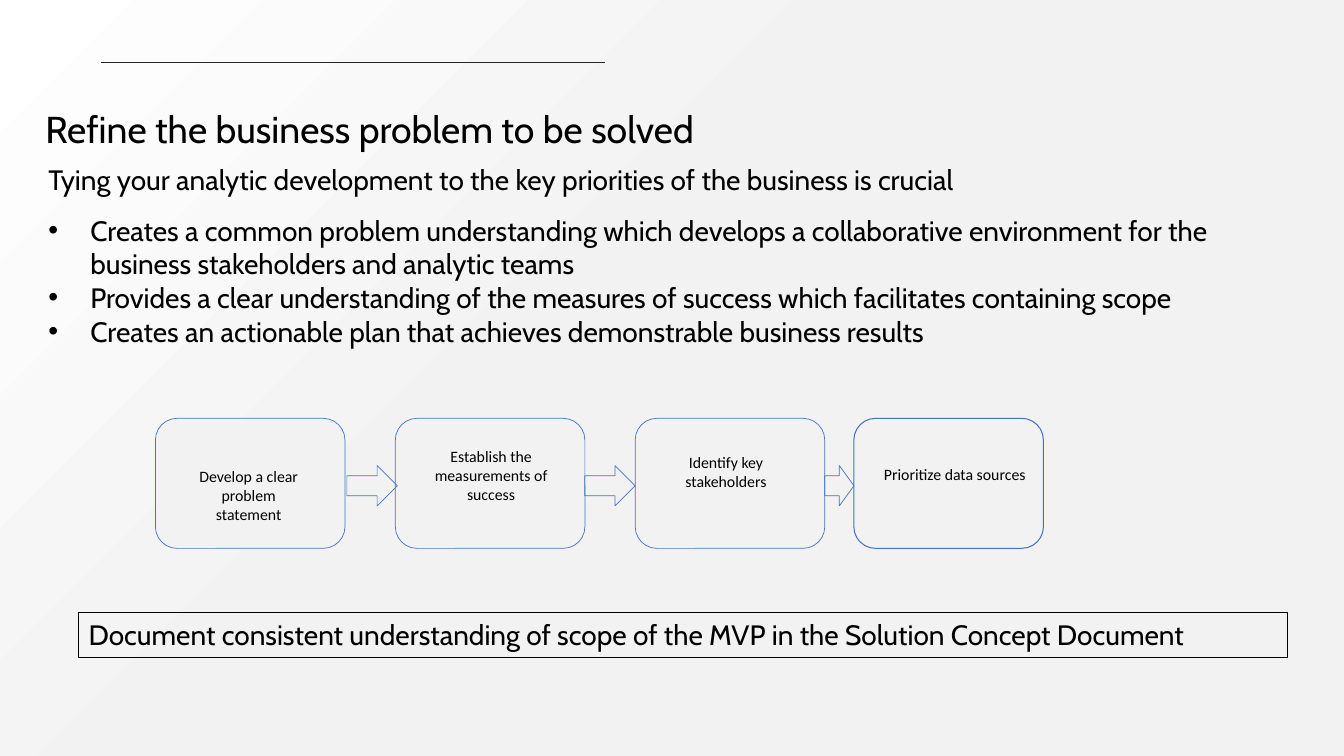
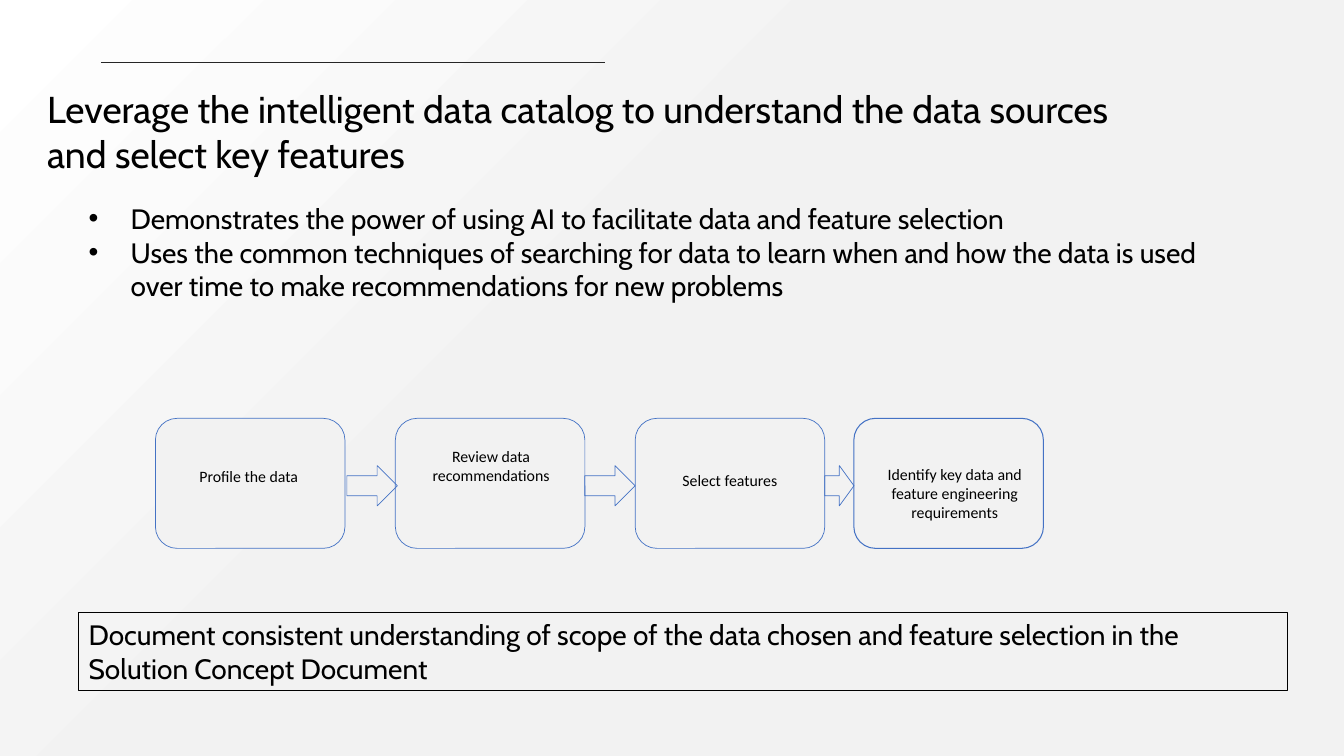
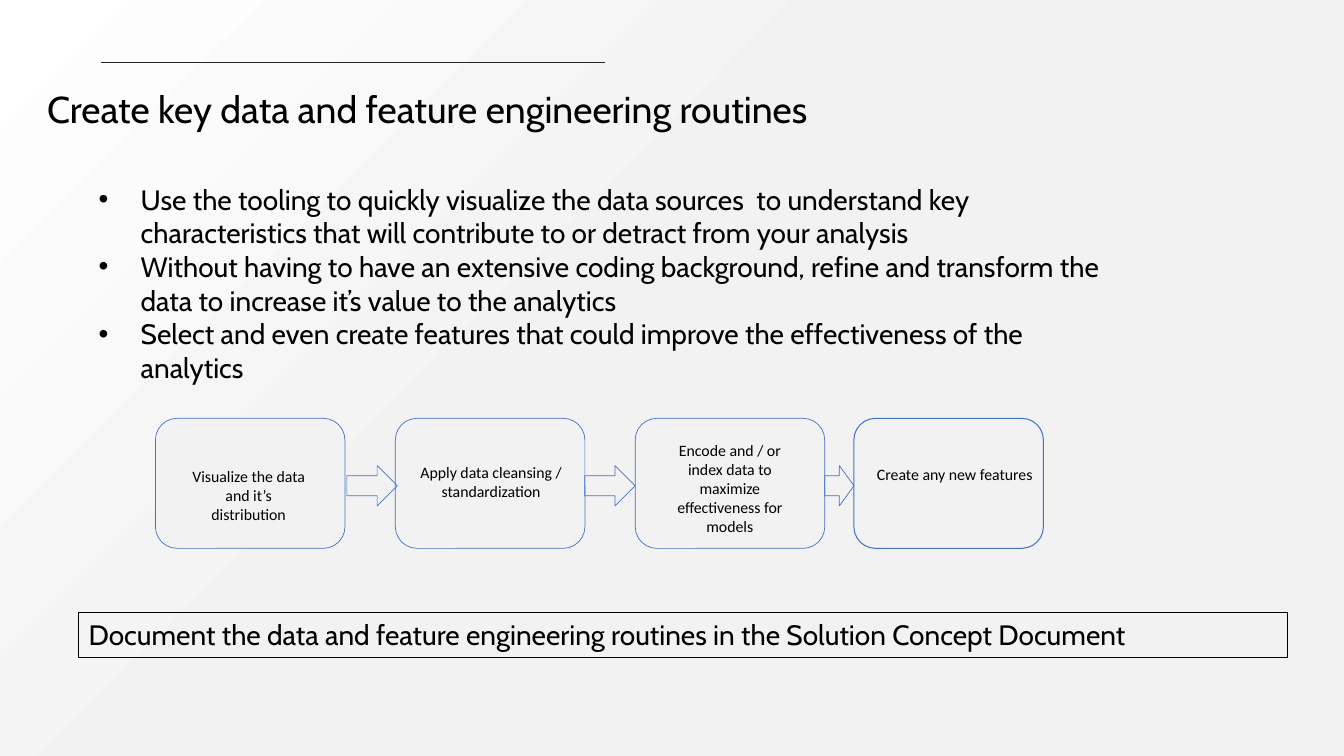
"""Build three slides on refining a problem, choosing data and engineering features."""
from dataclasses import dataclass

from lxml import etree
from pptx import Presentation
from pptx.dml.color import RGBColor
from pptx.enum import shapes, text
from pptx.oxml import ns
from pptx.util import Pt

COLORS = {
    "white": "FFFFFF",
    "panel": "F2F2F2",
    "outline": "4472C4",
    "rule": "262626",
    "ink": "000000",
}
HEADING_FONT = "Cabin"
LABEL_FONT = "Calibri"
TITLE_SIZE, BODY_SIZE, LABEL_SIZE = 26.7, 20, 11.3
BULLET_INDENT = 30
INTRO_GAP = 12.5

FLOW_LEFT, FLOW_TOP = 111, 298.8
STEP_WIDTH, STEP_HEIGHT = 135.4, 92.9
STEP_OFFSETS = (0, 171.4, 342.7, 498.9)
STEP_LINES = (0.5, 0.5, 0.5, 0.75)
LABEL_WIDTHS = (95.8, 126.7, 110.9, 135.4)
ARROW_SPANS = ((136.8, 36), (306.7, 36), (478.1, 20.9))
ARROW_TOP, ARROW_HEIGHT = 33.8, 28.8


@dataclass
class Step:
    """A step's label and its offset inside the step's box."""

    label: str
    dx: float
    dy: float


@dataclass
class Page:
    """The content of one slide, with boxes as left, top, width, height."""

    title: str
    title_box: tuple
    bullets: list
    body_box: tuple
    steps: list
    callout: str
    callout_height: float
    intro: str = ""


PAGES = [
    Page(
        title="Refine the business problem to be solved",
        title_box=(27.4, 70.6, 807, 42),
        intro="Tying your analytic development to the key priorities of the business is crucial",
        bullets=[
            "Creates a common problem understanding which develops a collaborative "
            "environment for the business stakeholders and analytic teams",
            "Provides a clear understanding of the measures of success which "
            "facilitates containing scope",
            "Creates an actionable plan that achieves demonstrable business results",
        ],
        body_box=(27.4, 112.3, 863.3, 203.8),
        steps=[
            Step("Develop a clear problem statement", 18.7, 31),
            Step("Establish the measurements of success", 5, 16.6),
            Step("Identify key stakeholders", 9.4, 20.9),
            Step("Prioritize data sources", 4.3, 29.5),
        ],
        callout="Document consistent understanding of scope of the MVP in the "
        "Solution Concept Document",
        callout_height=31.7,
    ),
    Page(
        title="Leverage the intelligent data catalog to understand the data sources "
        "and select key features",
        title_box=(28.6, 56.9, 807, 74),
        bullets=[
            "Demonstrates the power of using AI to facilitate data and feature selection",
            "Uses the common techniques of searching for data to learn when and how "
            "the data is used over time to make recommendations for new problems",
        ],
        body_box=(56.2, 140.4, 807, 119),
        steps=[
            Step("Profile the data", 18.7, 31),
            Step("Review data recommendations", 5, 16.6),
            Step("Select features", 12.2, 33.8),
            Step("Identify key data and feature engineering requirements", 4.3, 29.5),
        ],
        callout="Document consistent understanding of scope of the data chosen and "
        "feature selection in the Solution Concept Document",
        callout_height=55.5,
    ),
    Page(
        title="Create key data and feature engineering routines",
        title_box=(28.6, 56.9, 807, 42),
        bullets=[
            "Use the tooling to quickly visualize the data sources  to understand key "
            "characteristics that will contribute to or detract from your analysis",
            "Without having to have an extensive coding background, refine and "
            "transform the data to increase it’s value to the analytics",
            "Select and even create features that could improve the effectiveness "
            "of the analytics",
        ],
        body_box=(63.4, 126.7, 736.6, 191.5),
        steps=[
            Step("Visualize the data and it’s distribution", 18.7, 31),
            Step("Apply data cleansing / standardization", 5, 28),
            Step("Encode and / or index data to maximize effectiveness for models", 12.2, 12.2),
            Step("Create any new features", 4.3, 29.5),
        ],
        callout="Document the data and feature engineering routines in the "
        "Solution Concept Document",
        callout_height=31.7,
    ),
]


def rgb(name):
    """Return the named colour."""
    return RGBColor.from_string(COLORS[name])


def points(box):
    """Turn a box of numbers into lengths in points."""
    return [Pt(value) for value in box]


def style(paragraph, size, font=HEADING_FONT):
    """Set the font, size and colour of a paragraph."""
    paragraph.font.name = font
    paragraph.font.size = Pt(size)
    paragraph.font.color.rgb = rgb("ink")


def add_bullet(paragraph):
    """Give a paragraph a round bullet and a hanging indent."""
    properties = paragraph._p.get_or_add_pPr()
    properties.set("marL", str(Pt(BULLET_INDENT)))
    properties.set("indent", str(-Pt(BULLET_INDENT)))
    etree.SubElement(properties, ns.qn("a:buFont")).set("typeface", "Arial")
    etree.SubElement(properties, ns.qn("a:buChar")).set("char", "•")


def add_text_box(slide, box):
    """Add a wrapping text box and return its text frame."""
    frame = slide.shapes.add_textbox(*points(box)).text_frame
    frame.word_wrap = True
    return frame


def add_outlined_shape(slide, kind, box, line, weight, fill=None):
    """Add a preset shape with an outline and an optional fill."""
    shape = slide.shapes.add_shape(kind, *points(box))
    shape.shadow.inherit = False
    shape.line.color.rgb = rgb(line)
    shape.line.width = Pt(weight)
    if fill:
        shape.fill.solid()
        shape.fill.fore_color.rgb = rgb(fill)
    else:
        shape.fill.background()
    return shape


def set_background(master):
    """Give every slide the diagonal white to grey gradient."""
    fill = master.background.fill
    fill.gradient()
    fill.gradient_angle = 315
    for stop, name, position in zip(fill.gradient_stops, ("white", "panel"), (0, 0.44)):
        stop.color.rgb = rgb(name)
        stop.position = position


def add_rule(slide):
    """Add the thin line above the title."""
    rule = slide.shapes.add_connector(
        shapes.MSO_CONNECTOR.STRAIGHT, *points((72, 44.6, 432, 44.6))
    )
    rule.line.color.rgb = rgb("rule")
    rule.line.width = Pt(1.25)
    etree.SubElement(rule._element.spPr, ns.qn("a:effectLst"))


def add_title(slide, title, box):
    """Add the slide title."""
    frame = add_text_box(slide, box)
    frame.margin_left = frame.margin_right = Pt(5)
    frame.margin_top = frame.margin_bottom = Pt(5)
    frame.text = title
    style(frame.paragraphs[0], TITLE_SIZE)


def add_body(slide, intro, bullets, box):
    """Add the optional opening line and the bullets below it."""
    frame = add_text_box(slide, box)
    lines = ([intro] if intro else []) + bullets
    for index, line in enumerate(lines):
        paragraph = frame.add_paragraph() if index else frame.paragraphs[0]
        paragraph.text = line
        if line != intro:
            add_bullet(paragraph)
        else:
            paragraph.space_after = Pt(INTRO_GAP)
        style(paragraph, BODY_SIZE)


def add_flow(slide, steps, left, top):
    """Add the row of steps, their labels and the arrows between them."""
    kinds = shapes.MSO_SHAPE
    for step, offset, weight, width in zip(steps, STEP_OFFSETS, STEP_LINES, LABEL_WIDTHS):
        step_left = left + offset
        add_outlined_shape(
            slide, kinds.ROUNDED_RECTANGLE, (step_left, top, STEP_WIDTH, STEP_HEIGHT),
            "outline", weight, "panel",
        )
        label_box = (step_left + step.dx, top + step.dy, width, STEP_HEIGHT - step.dy)
        frame = add_text_box(slide, label_box)
        frame.text = step.label
        paragraph = frame.paragraphs[0]
        paragraph.alignment = text.PP_ALIGN.CENTER
        style(paragraph, LABEL_SIZE, LABEL_FONT)
    for offset, width in ARROW_SPANS:
        arrow_box = (left + offset, top + ARROW_TOP, width, ARROW_HEIGHT)
        add_outlined_shape(slide, kinds.RIGHT_ARROW, arrow_box, "outline", 0.5)


def add_callout(slide, message, height):
    """Add the framed message at the foot of the slide."""
    shape = add_outlined_shape(
        slide, shapes.MSO_SHAPE.RECTANGLE, (56.2, 437.8, 863.3, height), "ink", 0.75
    )
    frame = shape.text_frame
    frame.word_wrap = True
    frame.vertical_anchor = text.MSO_ANCHOR.TOP
    frame.text = message
    paragraph = frame.paragraphs[0]
    paragraph.alignment = text.PP_ALIGN.LEFT
    style(paragraph, BODY_SIZE)


def add_page(presentation, page):
    """Add one slide with all its regions."""
    slide = presentation.slides.add_slide(presentation.slide_layouts[6])
    add_body(slide, page.intro, page.bullets, page.body_box)
    add_rule(slide)
    add_title(slide, page.title, page.title_box)
    add_flow(slide, page.steps, FLOW_LEFT, FLOW_TOP)
    add_callout(slide, page.callout, page.callout_height)


def main():
    """Build and save the presentation."""
    presentation = Presentation()
    presentation.slide_width, presentation.slide_height = Pt(960), Pt(540)
    set_background(presentation.slide_master)
    for page in PAGES:
        add_page(presentation, page)
    presentation.save("out.pptx")


if __name__ == "__main__":
    main()
